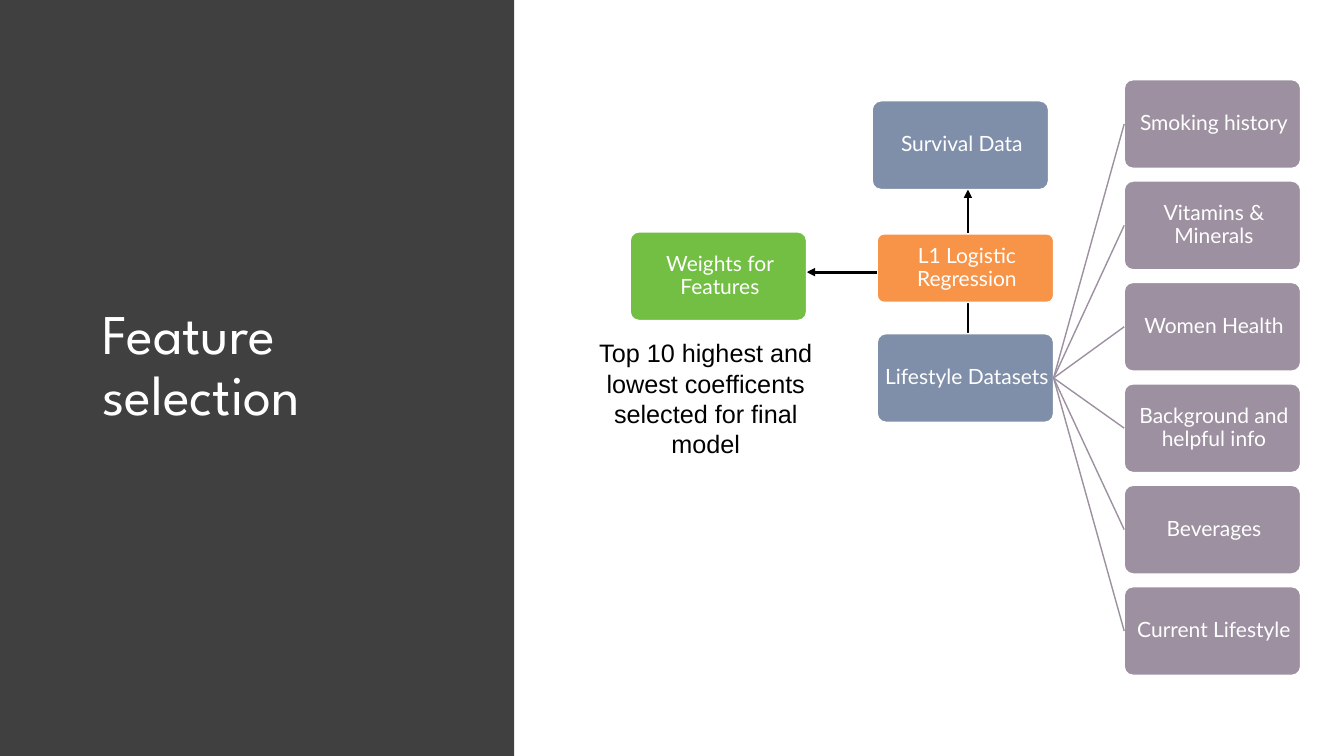
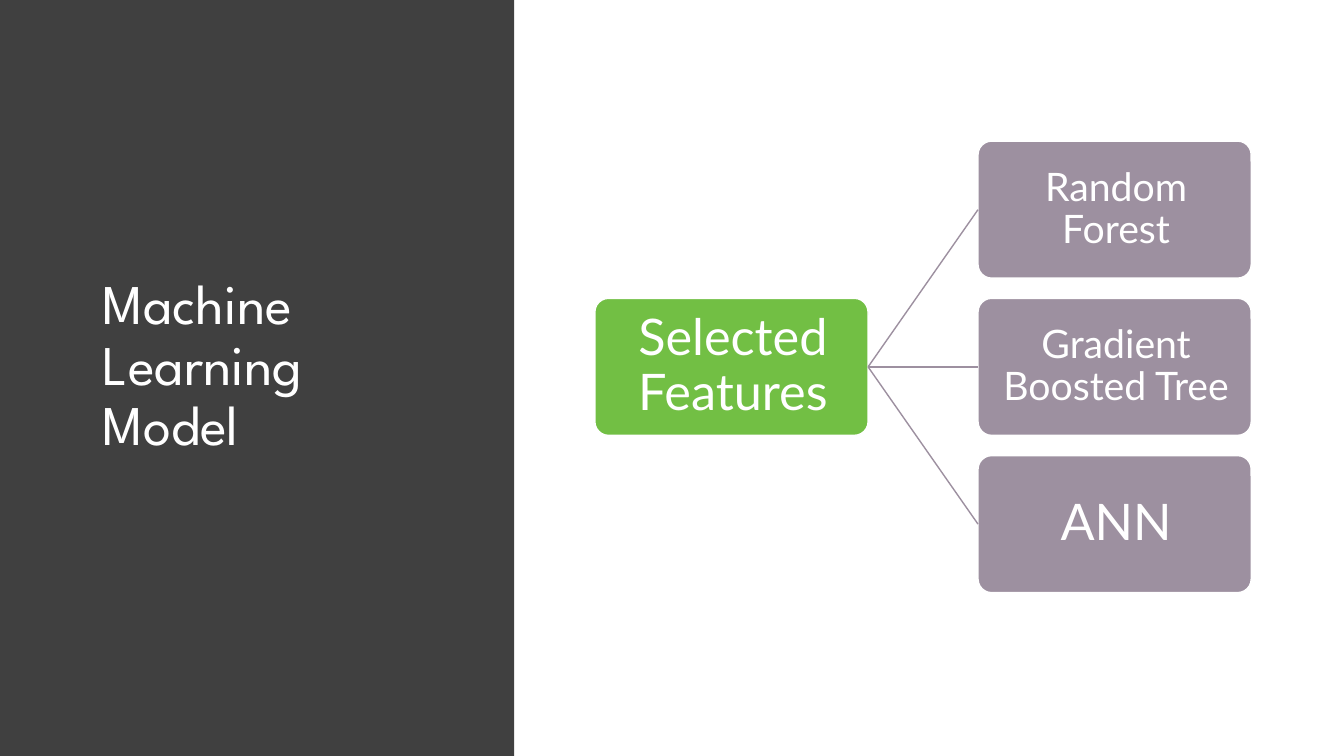
from lxml import etree
from pptx import Presentation
from pptx.dml.color import RGBColor
from pptx.enum import shapes, text
from pptx.oxml.ns import qn
from pptx.util import Inches, Pt

WHITE = RGBColor(0xFF, 0xFF, 0xFF)
BLACK = RGBColor(0, 0, 0)
CHARCOAL = RGBColor(0x40, 0x40, 0x40)
SLATE = RGBColor(0x7F, 0x8F, 0xA9)
MAUVE = RGBColor(0x9D, 0x90, 0xA0)
ORANGE = RGBColor(0xF7, 0x94, 0x48)
GREEN = RGBColor(0x72, 0xBF, 0x44)

TITLE_FONT, NODE_FONT, CAPTION_FONT = "League Spartan", "Lato", "Arial"
TOP, LEFT, BOTTOM, RIGHT = range(4)  # connection sites


class Deck:
    """Holds the shared style and the slide being built."""

    def __init__(self):
        self.prs = Presentation()
        self.prs.slide_width, self.prs.slide_height = Inches(13.33), Inches(7.5)
        self.slide = None

    def new_slide(self):
        self.slide = self.prs.slides.add_slide(self.prs.slide_layouts[6])

    def title_panel(self, title):
        panel = self._shape(shapes.MSO_SHAPE.RECTANGLE, 0, 0, 5.1, 7.5, CHARCOAL)
        panel.line.fill.background()
        box = self._text_box(0.92, 0.68, 3.66, 5.92)
        box.vertical_anchor = text.MSO_ANCHOR.MIDDLE
        self._write(box, title, TITLE_FONT, 40, WHITE).line_spacing = 0.9

    def caption(self, words, x, y, w, h):
        box = self._text_box(x, y, w, h)
        box.auto_size = text.MSO_AUTO_SIZE.SHAPE_TO_FIT_TEXT
        paragraph = self._write(box, words, CAPTION_FONT, 18, BLACK)
        paragraph.alignment = text.PP_ALIGN.CENTER

    def node(self, words, x, y, fill, w=1.75, h=0.88, size=15,
             inset=0.04, right_inset=0.01, space_after=5.2):
        node = self._shape(shapes.MSO_SHAPE.ROUNDED_RECTANGLE, x, y, w, h, fill)
        node.adjustments[0] = 0.1
        node.line.color.rgb = WHITE
        node.line.width = Pt(1)
        frame = node.text_frame
        frame.word_wrap = True
        frame.vertical_anchor = text.MSO_ANCHOR.MIDDLE
        frame.margin_left = frame.margin_top = frame.margin_bottom = Inches(inset)
        frame.margin_right = Inches(right_inset)
        paragraph = self._write(frame, words, NODE_FONT, size, WHITE)
        paragraph.alignment = text.PP_ALIGN.CENTER
        paragraph.line_spacing = 0.9
        paragraph.space_after = Pt(space_after)
        return node

    def branch(self, parent, child):
        branch = self._line(0, 0, 0, 0, MAUVE, 1)
        branch.begin_connect(parent, RIGHT)
        branch.end_connect(child, LEFT)

    def arrow(self, x1, y1, x2, y2):
        arrow = self._line(x1, y1, x2, y2, BLACK, 0)
        etree.SubElement(arrow.line._get_or_add_ln(), qn("a:tailEnd"), type="triangle")

    def fan(self, parent, labels, x, first_y, last_y, **style):
        """Stack nodes evenly and join each one to the parent."""
        step = (last_y - first_y) / (len(labels) - 1)
        for row, (label, size) in enumerate(labels):
            child = self.node(label, x, first_y + row * step, MAUVE, size=size, **style)
            self.branch(parent, child)

    def _shape(self, kind, x, y, w, h, fill):
        shape = self.slide.shapes.add_shape(kind, Inches(x), Inches(y), Inches(w), Inches(h))
        shape.shadow.inherit = False
        shape.fill.solid()
        shape.fill.fore_color.rgb = fill
        return shape

    def _text_box(self, x, y, w, h):
        box = self.slide.shapes.add_textbox(Inches(x), Inches(y), Inches(w), Inches(h))
        box.text_frame.word_wrap = True
        return box.text_frame

    def _line(self, x1, y1, x2, y2, color, width):
        line = self.slide.shapes.add_connector(
            shapes.MSO_CONNECTOR.STRAIGHT, Inches(x1), Inches(y1), Inches(x2), Inches(y2))
        line.line.color.rgb = color
        line.line.width = Pt(width)
        etree.SubElement(line._element.spPr, qn("a:effectLst"))
        return line

    def _write(self, frame, words, font, size, color):
        paragraph = frame.paragraphs[0]
        run = paragraph.add_run()
        run.text = words
        run.font.name, run.font.size = font, Pt(size)
        run.font.color.rgb = color
        return paragraph


def feature_selection(deck):
    deck.new_slide()
    # Arrow that passes behind the regression node
    deck.arrow(9.6, 3.31, 9.6, 1.88)
    deck.title_panel("Feature selection")

    # Data sources
    deck.node("Survival Data", 8.65, 1, SLATE)
    lifestyle = deck.node("Lifestyle Datasets", 8.7, 3.31, SLATE)
    datasets = ["Smoking history", "Vitamins & Minerals", "Women Health",
                "Background and helpful info", "Beverages", "Current Lifestyle"]
    deck.fan(lifestyle, [(name, 15) for name in datasets], 11.15, 0.79, 5.82)

    # Regression and its result
    deck.node("L1 Logistic Regression", 8.7, 2.32, ORANGE, h=0.68)
    deck.arrow(8.7, 2.7, 8, 2.7)
    deck.node("Weights for Features", 6.25, 2.3, GREEN)
    deck.caption("Top 10 highest and lowest coefficents selected for final model",
                 5.7, 3.3, 2.6, 1.22)


def learning_model(deck):
    deck.new_slide()
    deck.title_panel("Machine Learning Model")

    # Features feeding the three models
    large = dict(w=2.71, h=1.36, inset=0.06, right_inset=0.03, space_after=12.6)
    features = deck.node("Selected Features", 5.9, 2.96, GREEN, size=36, **large)
    models = [("Random Forest", 28), ("Gradient Boosted Tree", 28), ("ANN", 36)]
    deck.fan(features, models, 9.7, 1.4, 4.52, **large)


def main():
    deck = Deck()
    feature_selection(deck)
    learning_model(deck)
    deck.prs.save("out.pptx")


if __name__ == "__main__":
    main()
